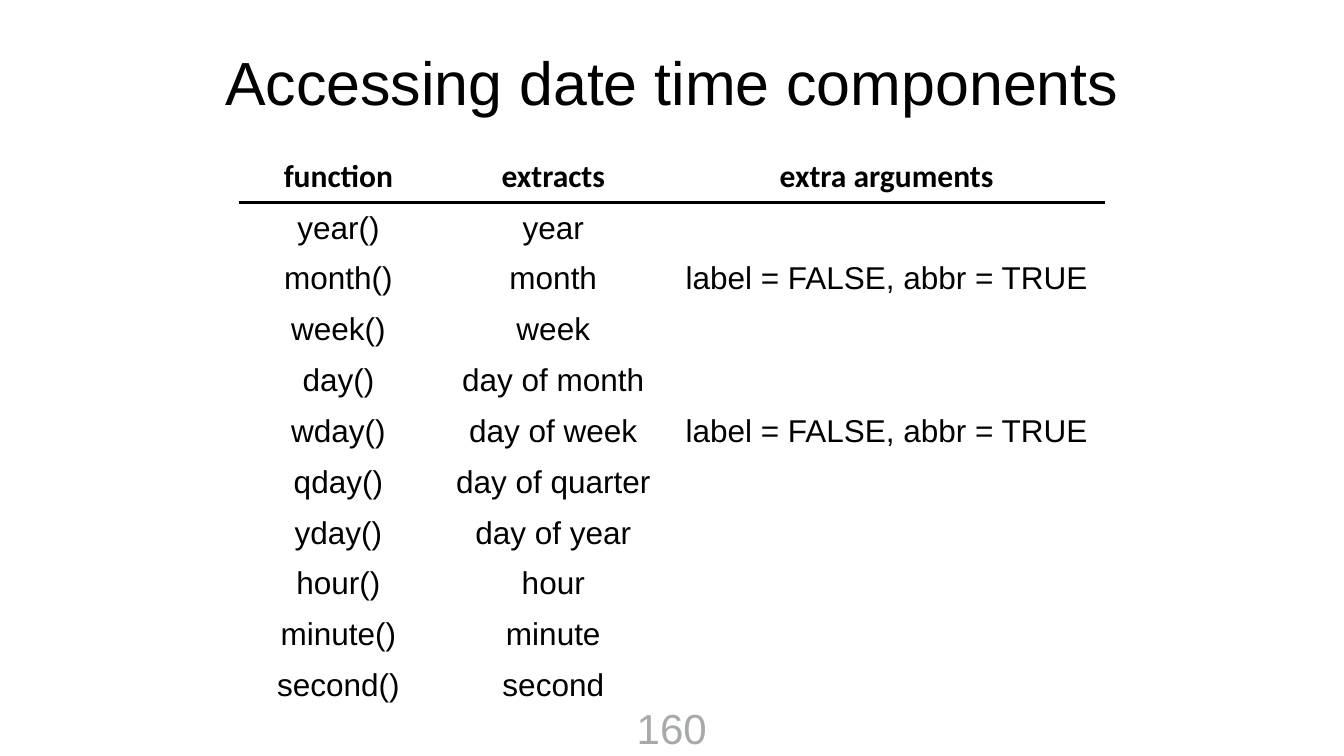
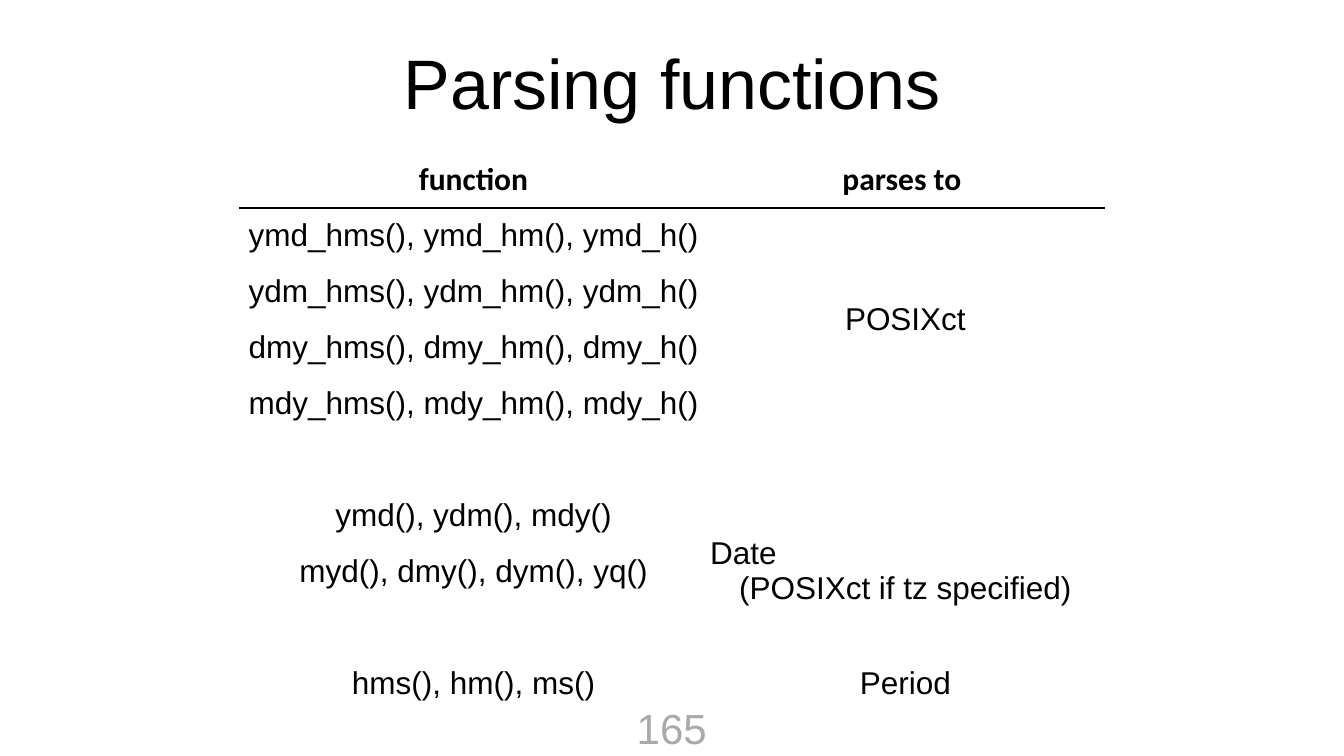
"""Builds two reference slides on date time functions, each with a title, a table and a page number."""
from lxml import etree
from pptx import Presentation
from pptx.dml.color import RGBColor
from pptx.enum.text import MSO_ANCHOR, MSO_AUTO_SIZE, PP_ALIGN
from pptx.oxml.ns import qn
from pptx.util import Cm, Pt

LEFT, CENTER = PP_ALIGN.LEFT, PP_ALIGN.CENTER
TOP, MIDDLE = MSO_ANCHOR.TOP, MSO_ANCHOR.MIDDLE
GROW = MSO_AUTO_SIZE.SHAPE_TO_FIT_TEXT

COLORS = {"text": "000000", "rule": "000000", "grid": "FFFFFF", "number": "A6AAA9"}
BODY_FONT, HEADER_FONT = "Arial", "Calibri"
TITLE_BOX = (11.13, 0.76, 45.47, 6.65)
NUMBER_BOX = (31.88, 35.18, 3.96, 2.95)
TABLE_LEFT, TABLE_TOP, TABLE_HEIGHT = 12.09, 7.65, 28.2
INSET, NUMBER_INSET = 0.15, 0.2
TABLE_SIZE, BORDER_WIDTH = 45, 4

SLIDES = [
    {
        "title": "Accessing date time components",
        "title_size": 87,
        "number": "160",
        "widths": [9.93, 11.73, 21.87],
        "rows": [
            ("function", "extracts", "extra arguments"),
            ("year()", "year", ""),
            ("month()", "month", "label = FALSE, abbr = TRUE"),
            ("week()", "week", ""),
            ("day()", "day of month", ""),
            ("wday()", "day of week", "label = FALSE, abbr = TRUE"),
            ("qday()", "day of quarter", ""),
            ("yday()", "day of year", ""),
            ("hour()", "hour", ""),
            ("minute()", "minute", ""),
            ("second()", "second", ""),
        ],
        "merges": [],
    },
    {
        "title": "Parsing functions",
        "title_size": 100,
        "number": "165",
        "widths": [23.55, 19.99],
        "rows": [
            ("function", "parses to "),
            ("ymd_hms(), ymd_hm(), ymd_h()", ""),
            ("ydm_hms(), ydm_hm(), ydm_h()", "POSIXct"),
            ("dmy_hms(), dmy_hm(), dmy_h()", ""),
            ("mdy_hms(), mdy_hm(), mdy_h()", ""),
            ("", ""),
            ("ymd(), ydm(), mdy()", "Date \n(POSIXct if tz specified)"),
            ("myd(), dmy(), dym(), yq()", ""),
            ("", ""),
            ("hms(), hm(), ms()", "Period"),
        ],
        "merges": [(2, 3, 1), (6, 8, 1)],
    },
]


def write_text(frame, text, size, font=BODY_FONT, color="text", bold=False):
    """Fills a text frame, centring the last line and left-aligning any before it."""
    lines = text.split("\n")
    for index, line in enumerate(lines):
        para = frame.paragraphs[0] if index == 0 else frame.add_paragraph()
        para.alignment = CENTER if index == len(lines) - 1 else LEFT
        span = para.add_run()
        span.text = line
        span.font.size = Pt(size)
        span.font.name = font
        span.font.bold = bold
        span.font.color.rgb = RGBColor.from_string(COLORS[color])


def set_insets(target, inset):
    """Gives a cell or text frame the same margin on all sides."""
    target.margin_left = target.margin_right = Cm(inset)
    target.margin_top = target.margin_bottom = Cm(inset)


def add_text_box(page, text, place, inset=INSET, anchor=MIDDLE, wrap=True, **text_format):
    """Adds a text box and returns its frame."""
    box = page.shapes.add_textbox(*map(Cm, place))
    frame = box.text_frame
    frame.word_wrap = wrap
    frame.vertical_anchor = anchor
    set_insets(frame, inset)
    write_text(frame, text, **text_format)
    return frame


def set_borders(cell, **colors):
    """Draws the four borders of a cell, white unless a side is given a colour."""
    properties = cell._tc.get_or_add_tcPr()
    for side in "LRTB":
        line = etree.SubElement(properties, qn(f"a:ln{side}"), w=str(Pt(BORDER_WIDTH)))
        fill = etree.SubElement(line, qn("a:solidFill"))
        etree.SubElement(fill, qn("a:srgbClr"), val=COLORS[colors.get(side, "grid")])


def add_function_table(page, rows, widths, merges):
    """Adds a table with a ruled header row and equal row heights."""
    frame = page.shapes.add_table(len(rows), len(widths), Cm(TABLE_LEFT), Cm(TABLE_TOP),
                                  Cm(sum(widths)), Cm(TABLE_HEIGHT))
    table = frame.table
    table.first_row = table.horz_banding = False
    for column, width in zip(table.columns, widths):
        column.width = Cm(width)
    rule_sides = {0: {"B": "rule"}, 1: {"T": "rule"}}
    for row_index, row in enumerate(rows):
        table.rows[row_index].height = Cm(TABLE_HEIGHT / len(rows))
        for column_index, text in enumerate(row):
            cell = table.cell(row_index, column_index)
            cell.vertical_anchor = MIDDLE
            set_insets(cell, INSET)
            set_borders(cell, **rule_sides.get(row_index, {}))
            cell.fill.background()
            if text:
                header = row_index == 0
                write_text(cell.text_frame, text, TABLE_SIZE, bold=header,
                           font=HEADER_FONT if header else BODY_FONT)
    for first, last, column in merges:
        table.cell(first, column).merge(table.cell(last, column))


def main():
    """Builds and saves the deck."""
    deck = Presentation()
    deck.slide_width, deck.slide_height = Cm(67.74), Cm(38.1)
    for content in SLIDES:
        page = deck.slides.add_slide(deck.slide_layouts[6])
        add_text_box(page, content["title"], TITLE_BOX, size=content["title_size"])
        add_function_table(page, content["rows"], content["widths"], content["merges"])
        number = add_text_box(page, content["number"], NUMBER_BOX, inset=NUMBER_INSET,
                              anchor=TOP, wrap=False, size=60, color="number")
        number.auto_size = GROW
    deck.save("out.pptx")


if __name__ == "__main__":
    main()
